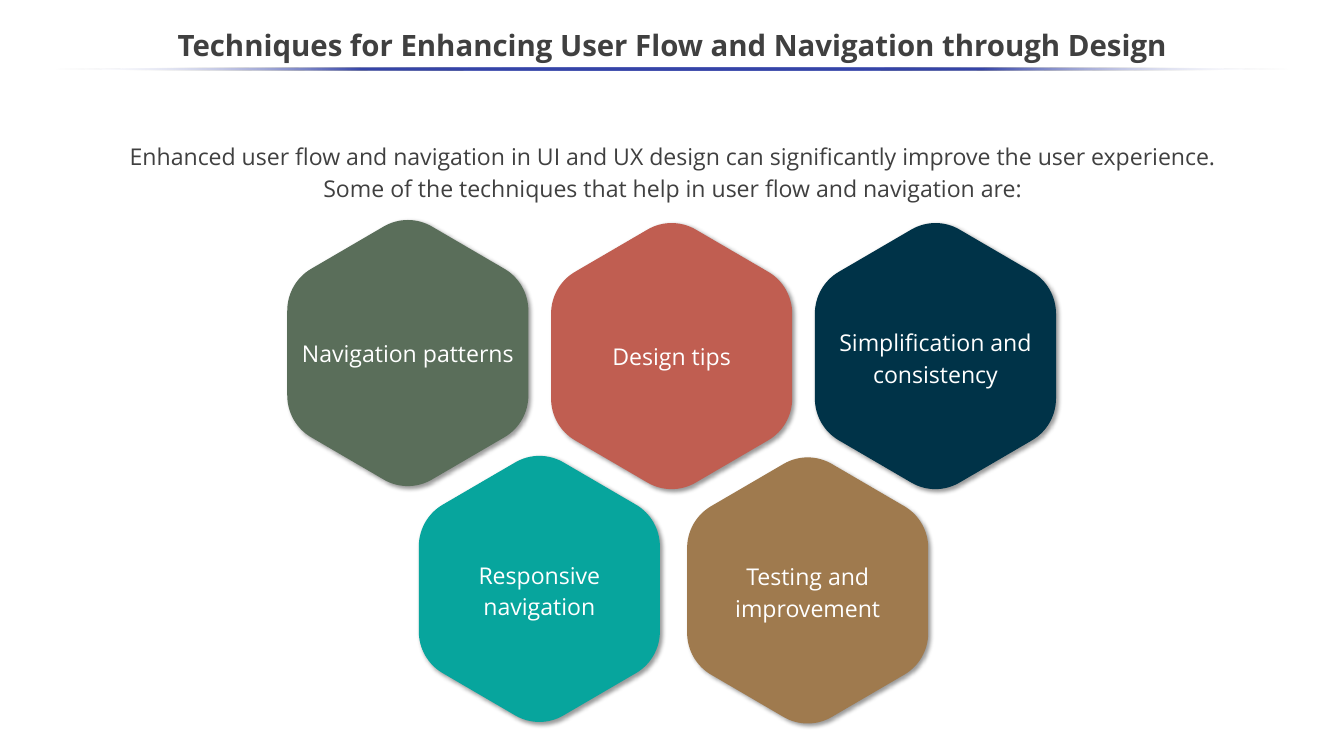
from math import cos, radians, sin, tan

from lxml.etree import SubElement
from pptx import Presentation
from pptx.dml.color import RGBColor
from pptx.enum.shapes import MSO_SHAPE as SHAPE
from pptx.enum.text import MSO_ANCHOR as ANCHOR, PP_ALIGN as ALIGN
from pptx.oxml import parse_xml
from pptx.oxml.ns import nsdecls, qn
from pptx.util import Inches, Pt

FONT = "Open Sans"
GREY, WHITE = "404040", "FFFFFF"
HEX_W, HEX_H = 3.19, 3.52
CORNER_DIST, CORNER_R = 1.12, 0.64

TITLE = "Techniques for Enhancing User Flow and Navigation through Design"
INTRO = ("Enhanced user flow and navigation in UI and UX design can significantly "
         "improve the user experience. Some of the techniques that help in user flow "
         "and navigation are:")
TECHNIQUES = [
    ("Navigation patterns", 3.8, 2.91, "5A6E5A", 1.0),
    ("Responsive navigation", 5.54, 6.03, "07A59D", 1.14),
    ("Design tips", 7.29, 2.95, "C05E51", 1.0),
    ("Simplification and consistency", 10.78, 2.95, "003348", 1.14),
    ("Testing and improvement", 9.09, 6.05, "9F7A4E", 1.14),
]
RULE_STOPS = [(0, WHITE, 0), (25, "3645A9", 100), (50, "3645A9", 100),
              (75, "3645A9", 100), (100, WHITE, 0)]


def rgb(value):
    return RGBColor.from_string(value)


def write(sp, text, size, color, spacing, anchor, inset_y=0.05, bold=False):
    tf = sp.text_frame
    frame_format = {
        "word_wrap": True, "vertical_anchor": anchor,
        "margin_left": Inches(0.1), "margin_right": Inches(0.1),
        "margin_top": Inches(inset_y), "margin_bottom": Inches(inset_y),
    }
    for name, value in frame_format.items():
        setattr(tf, name, value)
    p = tf.paragraphs[0]
    p.alignment, p.line_spacing = ALIGN.CENTER, spacing
    r = p.add_run()
    r.text = text
    for name, value in {"name": FONT, "size": Pt(size), "bold": bold}.items():
        setattr(r.font, name, value)
    r.font.color.rgb = rgb(color)


def add_text(s, box, *args, **kwargs):
    sp = s.shapes.add_textbox(*map(Inches, box))
    write(sp, *args, **kwargs)


def add_rule(s):
    box = map(Inches, (0.71, 0.89, 16.36, 0.04))
    sp = s.shapes.add_shape(SHAPE.OVAL, *box)
    sp.shadow.inherit = False
    sp.line.fill.background()
    stops = "".join(
        f'<a:gs pos="{pos * 1000}"><a:srgbClr val="{color}">'
        f'<a:alpha val="{alpha * 1000}"/></a:srgbClr></a:gs>'
        for pos, color, alpha in RULE_STOPS)
    fill = parse_xml(f'<a:gradFill {nsdecls("a")} rotWithShape="1"><a:gsLst>{stops}</a:gsLst>'
                     '<a:lin ang="10800000" scaled="0"/></a:gradFill>')
    sp._element.spPr.find(qn("a:prstGeom")).addnext(fill)


def corner_points(corner):
    scale_x = HEX_W / 2 / (CORNER_DIST * cos(radians(30)) + CORNER_R)
    scale_y = HEX_H / 2 / (CORNER_DIST + CORNER_R)
    handle = 4 / 3 * tan(radians(15))
    points = []
    for angle, pull in ((-30, 0), (-30, handle), (30, -handle), (30, 0)):
        a, c = radians(corner + angle), radians(corner)
        x = CORNER_DIST * cos(c) + CORNER_R * (cos(a) - pull * sin(a))
        y = CORNER_DIST * sin(c) + CORNER_R * (sin(a) + pull * cos(a))
        points.append((Inches(HEX_W / 2 + x * scale_x), Inches(HEX_H / 2 + y * scale_y)))
    return points


def add_segment(path, tag, *points):
    segment = SubElement(path, qn(tag))
    for x, y in points:
        SubElement(segment, qn("a:pt"), x=str(x), y=str(y))


def round_outline(sp):
    path = next(sp._element.iter(qn("a:path")))
    for child in list(path):
        path.remove(child)
    add_segment(path, "a:moveTo", corner_points(30)[-1])
    for corner in range(90, 450, 60):
        start, *curve = corner_points(corner)
        add_segment(path, "a:lnTo", start)
        add_segment(path, "a:cubicBezTo", *curve)
    add_segment(path, "a:close")


def add_shadow(sp):
    sp.shadow.inherit = False
    effects = sp._element.spPr.find(qn("a:effectLst"))
    shadow = SubElement(effects, qn("a:outerShdw"), blurRad=str(Pt(4)), dist=str(Pt(3)),
                        dir="2700000", algn="tl", rotWithShape="0")
    color = SubElement(shadow, qn("a:srgbClr"), val="000000")
    SubElement(color, qn("a:alpha"), val="40000")


def add_hexagon(group, text, left, top, color, spacing):
    x, y, right, bottom = map(Inches, (left, top, left + HEX_W, top + HEX_H))
    builder = group.shapes.build_freeform(x, y)
    builder.add_line_segments([(right, y), (right, bottom), (x, bottom)], close=True)
    sp = builder.convert_to_shape()
    round_outline(sp)
    sp.fill.solid()
    sp.fill.fore_color.rgb = rgb(color)
    sp.line.fill.background()
    add_shadow(sp)
    write(sp, text, 22, WHITE, spacing, ANCHOR.MIDDLE)


def main():
    prs = Presentation()
    prs.slide_width, prs.slide_height = Inches(17.78), Inches(10)
    s = prs.slides.add_slide(prs.slide_layouts[6])
    add_text(s, (1.41, 1.83, 14.98, 0.99), INTRO, 22, GREY, 1.15, ANCHOR.TOP, inset_y=0)
    add_text(s, (-0.01, 0.25, 17.8, 0.75), TITLE, 28, GREY, 0.9, ANCHOR.MIDDLE, bold=True)
    add_rule(s)
    group = s.shapes.add_group_shape()
    for technique in TECHNIQUES:
        add_hexagon(group, *technique)
    prs.save("out.pptx")


if __name__ == "__main__":
    main()
